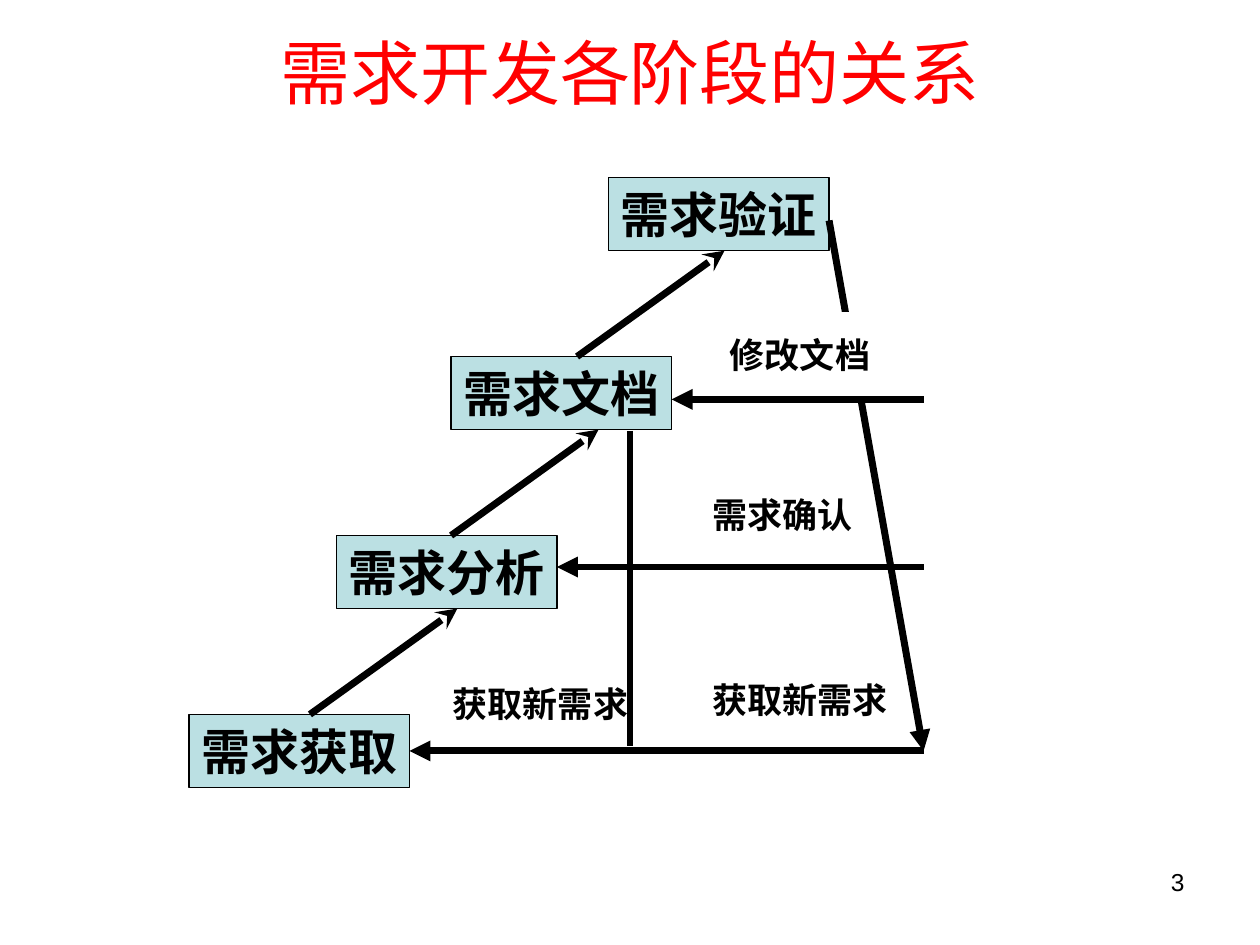
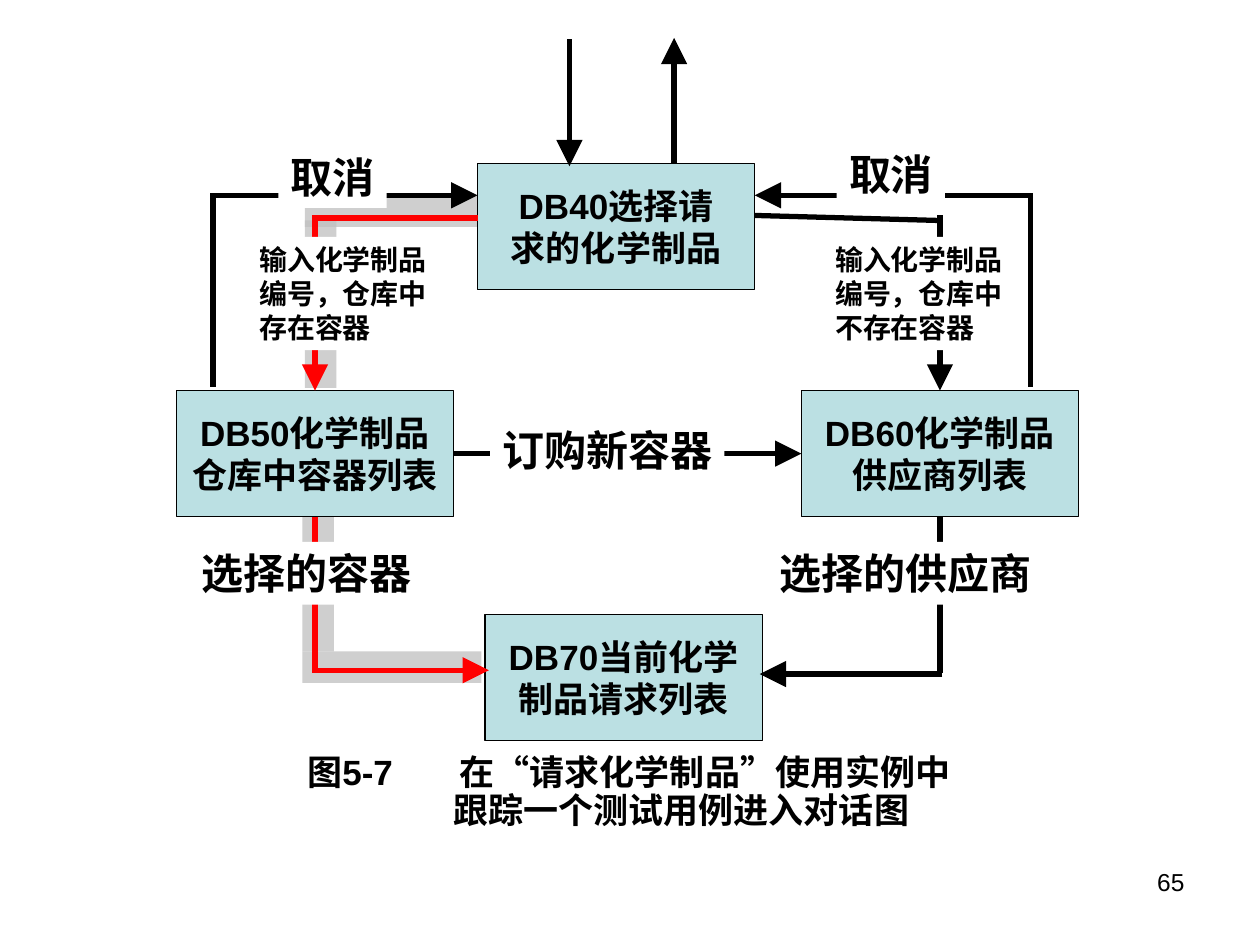
from dataclasses import dataclass
from typing import Optional

from lxml.etree import SubElement
from pptx import Presentation
from pptx.dml.color import RGBColor
from pptx.enum.shapes import MSO_CONNECTOR, MSO_SHAPE
from pptx.enum.text import MSO_ANCHOR, MSO_AUTO_SIZE, PP_ALIGN
from pptx.oxml.ns import qn
from pptx.util import Emu, Pt

PX = 9144  # 100 px to the inch
FONT = "Arial"
COLORS = {
    "text": "000000",
    "title": "FF0000",
    "box": "BBE0E3",
    "line": "000000",
    "traced": "FF0000",
    "shade": "C0C0C0",
    "paper": "FFFFFF",
}
TOP, LEFT, BOTTOM, RIGHT = range(4)


@dataclass
class Block:
    text: str
    left: int
    top: int
    width: int
    height: int
    size: int = 20
    fill: str = "box"
    border: Optional[str] = "line"
    align: PP_ALIGN = PP_ALIGN.CENTER
    anchor: MSO_ANCHOR = MSO_ANCHOR.MIDDLE
    alpha: Optional[int] = None


@dataclass
class Line:
    start: tuple[int, int]
    end: tuple[int, int]
    arrow: Optional[str] = None
    color: str = "line"
    join_start: Optional[tuple[str, int]] = None
    join_end: Optional[tuple[str, int]] = None


def px(length: int) -> Emu:
    return Emu(length * PX)


def color(name: str) -> RGBColor:
    return RGBColor.from_string(COLORS[name])


def write_text(frame, text: str, *, size: int, bold: bool = True, name: str = "text",
               align=PP_ALIGN.CENTER, anchor=MSO_ANCHOR.MIDDLE, wrap: bool = False,
               spacing: Optional[float] = None) -> None:
    frame.word_wrap = wrap
    frame.auto_size = MSO_AUTO_SIZE.NONE
    frame.vertical_anchor = anchor
    frame.text = text
    for paragraph in frame.paragraphs:
        paragraph.alignment = align
        if spacing:
            paragraph.line_spacing = spacing
        for run in paragraph.runs:
            run.font.name = FONT
            run.font.size = Pt(size)
            run.font.bold = bold
            run.font.color.rgb = color(name)


def draw_block(slide, block: Block):
    shape = slide.shapes.add_shape(MSO_SHAPE.RECTANGLE, px(block.left), px(block.top),
                                   px(block.width), px(block.height))
    shape.shadow.inherit = False
    shape.fill.solid()
    shape.fill.fore_color.rgb = color(block.fill)
    if block.alpha:
        fill_color = shape._element.spPr.find(qn("a:solidFill"))[0]
        SubElement(fill_color, qn("a:alpha")).set("val", str(block.alpha * 1000))
    if block.border:
        shape.line.color.rgb = color(block.border)
        shape.line.width = Pt(0.75)
    else:
        shape.line.fill.background()
    if block.text:
        write_text(shape.text_frame, block.text, size=block.size,
                   align=block.align, anchor=block.anchor)
    return shape


def draw_line(slide, line: Line, boxes: dict, width: int, head_size: str) -> None:
    ends = [px(value) for value in (*line.start, *line.end)]
    connector = slide.shapes.add_connector(MSO_CONNECTOR.STRAIGHT, *ends)
    connector.line.color.rgb = color(line.color)
    connector.line.width = Pt(width)
    if line.join_start:
        box, side = line.join_start
        connector.begin_connect(boxes[box], side)
    if line.join_end:
        box, side = line.join_end
        connector.end_connect(boxes[box], side)
    properties = connector._element.spPr
    if line.arrow:
        SubElement(properties.find(qn("a:ln")), qn("a:tailEnd"),
                   type=line.arrow, w=head_size, len=head_size)
    SubElement(properties, qn("a:effectLst"))


def draw_diagram(slide, boxes: dict[str, Block], lines: list[Line], labels: list[Block],
                 *, line_width: int, head_size: str) -> None:
    shapes = {key: draw_block(slide, box) for key, box in boxes.items()}
    for line in lines:
        draw_line(slide, line, shapes, line_width, head_size)
    for label in labels:
        draw_block(slide, label)


def add_page_number(slide, number: int) -> None:
    text_box = slide.shapes.add_textbox(px(717), px(683), px(233), px(52))
    write_text(text_box.text_frame, str(number), size=14, bold=False,
               align=PP_ALIGN.RIGHT, anchor=MSO_ANCHOR.TOP, wrap=True)


def build_stages_slide(presentation) -> None:
    slide = presentation.slides.add_slide(presentation.slide_layouts[5])
    title = slide.shapes.title
    title.left, title.top, title.width, title.height = px(50), px(30), px(900), px(53)
    write_text(title.text_frame, "需求开发各阶段的关系", size=40, bold=False,
               name="title", wrap=True)

    # Staircase of stages
    first_top, step, box_height = 567, 142, 58
    stages = [("需求获取", 150), ("需求分析", 267), ("需求文档", 358), ("需求验证", 483)]
    boxes = {
        text: Block(text, left, first_top - step * level, 175, box_height, size=28)
        for level, (text, left) in enumerate(stages)
    }

    # Arrows up the stairs, then the ways back
    lines = []
    for level, left in enumerate((246, 358, 458)):
        top = first_top - step * level
        lines.append(Line((left, top), (left + 117, top - step + box_height), "stealth"))
    lines += [
        Line((658, 175), (733, 596), "triangle"),
        Line((733, 596), (325, 596), "triangle", join_end=("需求获取", RIGHT)),
        Line((500, 342), (500, 592)),
        Line((733, 317), (533, 317), "triangle"),
        Line((733, 450), (442, 450), "triangle"),
    ]

    labels = [
        Block(text, left, top, 108, height, fill="paper", border="paper")
        for text, left, top, height in (
            ("获取新需求", 375, 542, 33),
            ("获取新需求", 581, 539, 33),
            ("需求确认", 567, 375, 66),
            ("修改文档", 581, 248, 66),
        )
    ]
    draw_diagram(slide, boxes, lines, labels, line_width=4, head_size="med")
    add_page_number(slide, 3)


def add_caption(slide) -> None:
    text_box = slide.shapes.add_textbox(px(50), px(600), px(900), px(70))
    frame = text_box.text_frame
    write_text(frame, "图5-7\t在“请求化学制品”使用实例中\n跟踪一个测试用例进入对话图", size=20,
               align=PP_ALIGN.LEFT, anchor=MSO_ANCHOR.TOP, wrap=True, spacing=0.7)
    # The figure number hangs to the left of the caption text
    for paragraph, margin, indent in zip(frame.paragraphs, (305, 300), (-121, 0)):
        properties = paragraph._p.get_or_add_pPr()
        properties.set("marL", str(px(margin)))
        properties.set("indent", str(px(indent)))
    frame.paragraphs[1].space_before = Pt(5)


def build_dialog_slide(presentation) -> None:
    slide = presentation.slides.add_slide(presentation.slide_layouts[6])

    # Shading behind the traced route
    for bounds in ((242, 155, 142, 25), (242, 175, 25, 133),
                   (240, 400, 25, 117), (240, 517, 142, 25)):
        draw_block(slide, Block("", *bounds, fill="shade", border=None, alpha=76))
    add_caption(slide)

    boxes = {
        key: Block(key + text, left, top, 220, 100)
        for key, text, left, top in (
            ("DB40", "选择请\n求的化学制品", 379, 130),
            ("DB70", "当前化学\n制品请求列表", 385, 488),
            ("DB60", "化学制品\n供应商列表", 636, 310),
            ("DB50", "化学制品\n仓库中容器列表", 140, 310),
        )
    }
    lines = [
        Line((360, 360), (636, 360), "triangle",
             join_start=("DB50", RIGHT), join_end=("DB60", LEFT)),
        # Selected supplier and selected container
        Line((746, 410), (746, 534), join_start=("DB60", BOTTOM)),
        Line((250, 410), (250, 534), color="traced", join_start=("DB50", BOTTOM)),
        Line((250, 532), (388, 532), "triangle", "traced"),
        Line((748, 535), (603, 535), "triangle"),
        # Product number entered
        Line((250, 171), (250, 310), "triangle", "traced", join_end=("DB50", TOP)),
        Line((746, 171), (746, 310), "triangle", join_end=("DB60", TOP)),
        Line((250, 173), (379, 173), color="traced"),
        Line((599, 171), (746, 175)),
        # Cancel
        Line((169, 307), (169, 157)),
        Line((818, 307), (818, 157)),
        Line((167, 155), (379, 155), "triangle"),
        Line((820, 155), (599, 155), "triangle"),
        # Entry and exit
        Line((452, 31), (452, 132), "triangle"),
        Line((535, 130), (535, 30), "triangle"),
    ]
    labels = [
        Block(text, left, top, width, height, size, "paper", None,
              PP_ALIGN.LEFT, MSO_ANCHOR.TOP)
        for text, left, top, width, height, size in (
            ("取消", 221, 115, 86, 50, 24),
            ("取消", 664, 113, 86, 50, 24),
            ("输入化学制品\n编号，仓库中\n存在容器", 196, 188, 153, 90, 16),
            ("输入化学制品\n编号，仓库中\n不存在容器", 653, 188, 153, 90, 16),
            ("订购新容器", 389, 332, 186, 50, 24),
            ("选择的容器", 150, 430, 186, 50, 24),
            ("选择的供应商", 609, 430, 220, 50, 24),
        )
    ]
    draw_diagram(slide, boxes, lines, labels, line_width=3, head_size="lg")
    add_page_number(slide, 65)


def main() -> None:
    presentation = Presentation()
    presentation.slide_width, presentation.slide_height = px(1000), px(750)
    build_stages_slide(presentation)
    build_dialog_slide(presentation)
    presentation.save("out.pptx")


if __name__ == "__main__":
    main()
